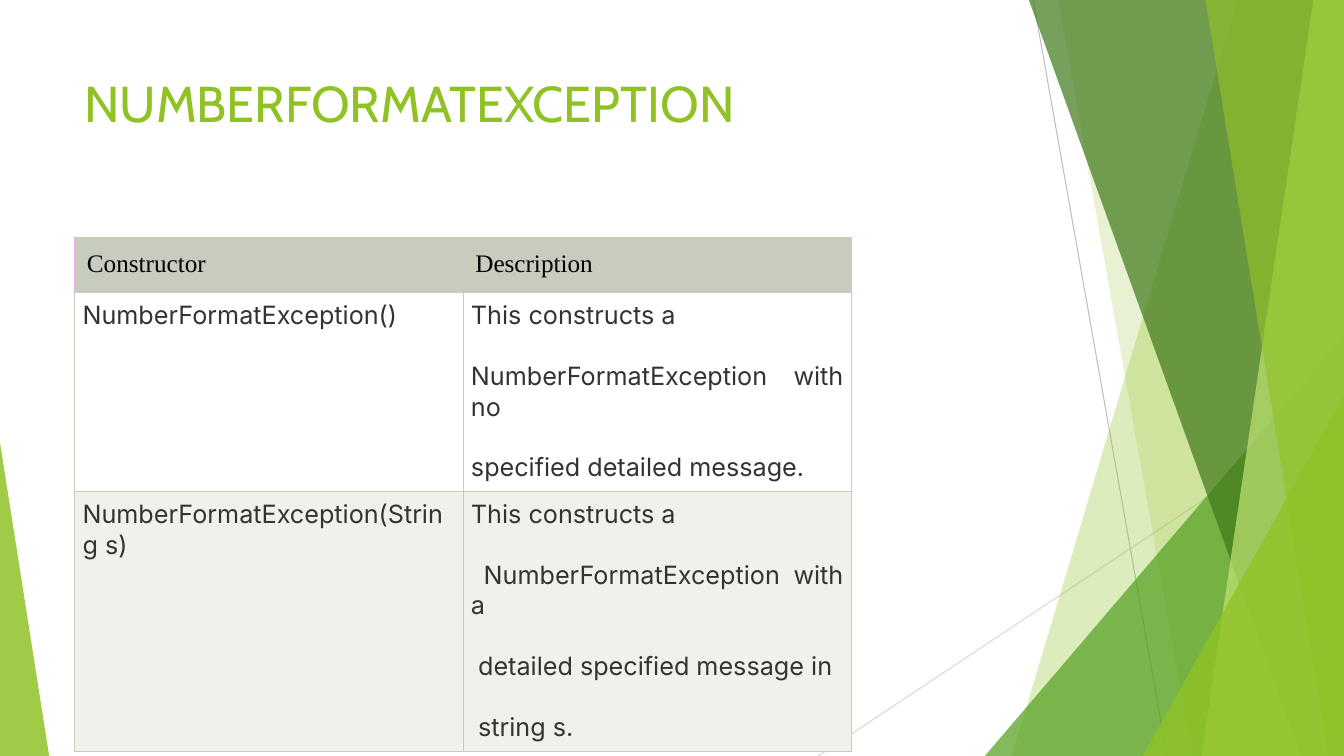
"""Build the NumberFormatException constructor slide."""
from dataclasses import dataclass

from lxml.etree import SubElement
from pptx import Presentation
from pptx.dml.color import RGBColor
from pptx.enum.shapes import MSO_CONNECTOR, MSO_SHAPE
from pptx.enum.text import PP_ALIGN
from pptx.oxml.ns import qn
from pptx.util import Cm, Pt


@dataclass(frozen=True)
class Theme:
    """Colours, fonts and type sizes of the slide."""
    lime: str = "90C226"
    green: str = "54A021"
    forest: str = "3F7819"
    pale: str = "C0E474"
    steep_line: str = "BFBFBF"
    flat_line: str = "D9D9D9"
    header: str = "C7CCBE"
    pink: str = "F0AAF0"
    white: str = "FFFFFF"
    band: str = "EFF1EB"
    black: str = "000000"
    body: str = "333333"
    title_font: str = "Cabin"
    header_font: str = "Times New Roman"
    body_font: str = "Inter"
    title_size: int = 36
    table_size: int = 18
    line_width: float = 0.75


THEME = Theme()
WIDTH, HEIGHT = 33.87, 19.05
CONSTRUCTORS = [
    ("NumberFormatException()", THEME.white,
     [("This constructs a", 0),
      ("NumberFormatException with no", 0),
      ("specified detailed message.", 0)]),
    ("NumberFormatException(String s)", THEME.band,
     [("This constructs a", 0),
      ("NumberFormatException with a", 0.32),
      ("detailed specified message in", 0.18),
      ("string s.", 0.18)]),
]


def paint(shape, color, opacity):
    """Give a shape a see-through fill without outline or shadow."""
    shape.shadow.inherit = False
    shape.line.fill.background()
    shape.fill.solid()
    shape.fill.fore_color.rgb = RGBColor.from_string(color)
    color_node = shape._element.spPr.find(f".//{qn('a:srgbClr')}")
    SubElement(color_node, qn("a:alpha")).set("val", str(opacity * 1000))


def add_hairline(page, start, end, color):
    """Draw a thin straight line."""
    line = page.shapes.add_connector(
        MSO_CONNECTOR.STRAIGHT, *map(Cm, start + end))
    line.line.color.rgb = RGBColor.from_string(color)
    line.line.width = Pt(THEME.line_width)
    SubElement(line._element.spPr, qn("a:effectLst"))


def add_shard(page, top_left, bottom_left, color, opacity):
    """Draw a slanted panel that reaches the right edge of the slide."""
    builder = page.shapes.build_freeform(Cm(top_left), Cm(0))
    corners = [(WIDTH, 0), (WIDTH, HEIGHT), (bottom_left, HEIGHT)]
    builder.add_line_segments([(Cm(x), Cm(y)) for x, y in corners])
    paint(builder.convert_to_shape(), color, opacity)


def add_triangle(page, left, top, width, peak, color, opacity):
    """Draw a triangle that stands on the bottom edge of the slide."""
    triangle = page.shapes.add_shape(
        MSO_SHAPE.ISOSCELES_TRIANGLE,
        Cm(left), Cm(top), Cm(width), Cm(HEIGHT - top))
    triangle.adjustments[0] = peak
    paint(triangle, color, opacity)


def write(para, text, font, size, color):
    """Put styled text in a paragraph."""
    para.text = text
    para.font.name = font
    para.font.size = Pt(size)
    para.font.color.rgb = RGBColor.from_string(color)


def add_title(page, text):
    """Add the slide title."""
    box = page.shapes.add_textbox(Cm(1.88), Cm(1.7), Cm(23.88), Cm(3.66))
    box.text_frame.word_wrap = True
    write(box.text_frame.paragraphs[0], text,
          THEME.title_font, THEME.title_size, THEME.lime)


def style_cell(cell, fill, margin, **edges):
    """Set margins, borders and fill of a table cell."""
    cell.margin_left = cell.margin_right = Cm(margin)
    cell.margin_top = cell.margin_bottom = Cm(margin)
    properties = cell._tc.get_or_add_tcPr()
    for side in "LRTB":
        border = SubElement(properties, qn(f"a:ln{side}"),
                            w=str(Pt(THEME.line_width)))
        solid = SubElement(border, qn("a:solidFill"))
        SubElement(solid, qn("a:srgbClr"), val=edges.get(side, THEME.header))
    cell.fill.solid()
    cell.fill.fore_color.rgb = RGBColor.from_string(fill)


def fill_body_cell(cell, lines, fill):
    """Write justified, spaced paragraphs, each with its first-line indent."""
    style_cell(cell, fill, 0.2)
    frame = cell.text_frame
    for index, (text, indent) in enumerate(lines):
        para = frame.add_paragraph() if index else frame.paragraphs[0]
        write(para, text, THEME.body_font, THEME.table_size, THEME.body)
        para.alignment = PP_ALIGN.JUSTIFY
        para.space_before = Pt(21.7 if index else 0)
        para._p.get_or_add_pPr().set("indent", str(Cm(indent)))


def add_constructor_table(page):
    """Add the table of constructors and their descriptions."""
    heights = [1.35, 5.01, 6.55]
    table = page.shapes.add_table(
        len(heights), 2, Cm(1.88), Cm(5.99),
        Cm(19.58), Cm(sum(heights))).table
    table.first_row = table.horz_banding = False
    for row, height in zip(table.rows, heights):
        row.height = Cm(height)
    for column, heading in enumerate(["Constructor", "Description"]):
        cell = table.cell(0, column)
        left = THEME.header if column else THEME.pink
        style_cell(cell, THEME.header, 0.31, L=left, T=THEME.pink)
        write(cell.text_frame.paragraphs[0], heading,
              THEME.header_font, THEME.table_size, THEME.black)
    for row, (name, fill, description) in enumerate(CONSTRUCTORS, 1):
        fill_body_cell(table.cell(row, 0), [(name, 0)], fill)
        fill_body_cell(table.cell(row, 1), description, fill)


def add_backdrop(page):
    """Draw the lines and green panels behind the content."""
    add_hairline(page, (26.04, 0), (29.41, HEIGHT), THEME.steep_line)
    add_hairline(page, (WIDTH, 10.24), (20.62, HEIGHT), THEME.flat_line)
    add_shard(page, 31.19, 25.5, THEME.lime, 30)
    add_shard(page, 26.67, 30.05, THEME.lime, 20)
    add_triangle(page, 24.82, 8.46, 9.05, 1, THEME.green, 72)
    add_shard(page, 25.93, 32.79, THEME.forest, 70)
    add_shard(page, 33.1, 30.28, THEME.pale, 70)
    add_shard(page, 30.38, 33.48, THEME.lime, 65)
    add_triangle(page, 28.8, 9.98, 5.07, 1, THEME.lime, 80)
    add_triangle(page, 0, 11.15, 1.24, 0, THEME.lime, 85)


def main():
    """Build and save the deck."""
    deck = Presentation()
    deck.slide_width, deck.slide_height = Cm(WIDTH), Cm(HEIGHT)
    page = deck.slides.add_slide(deck.slide_layouts[6])
    add_backdrop(page)
    add_title(page, "NUMBERFORMATEXCEPTION")
    add_constructor_table(page)
    deck.save("out.pptx")


main()
